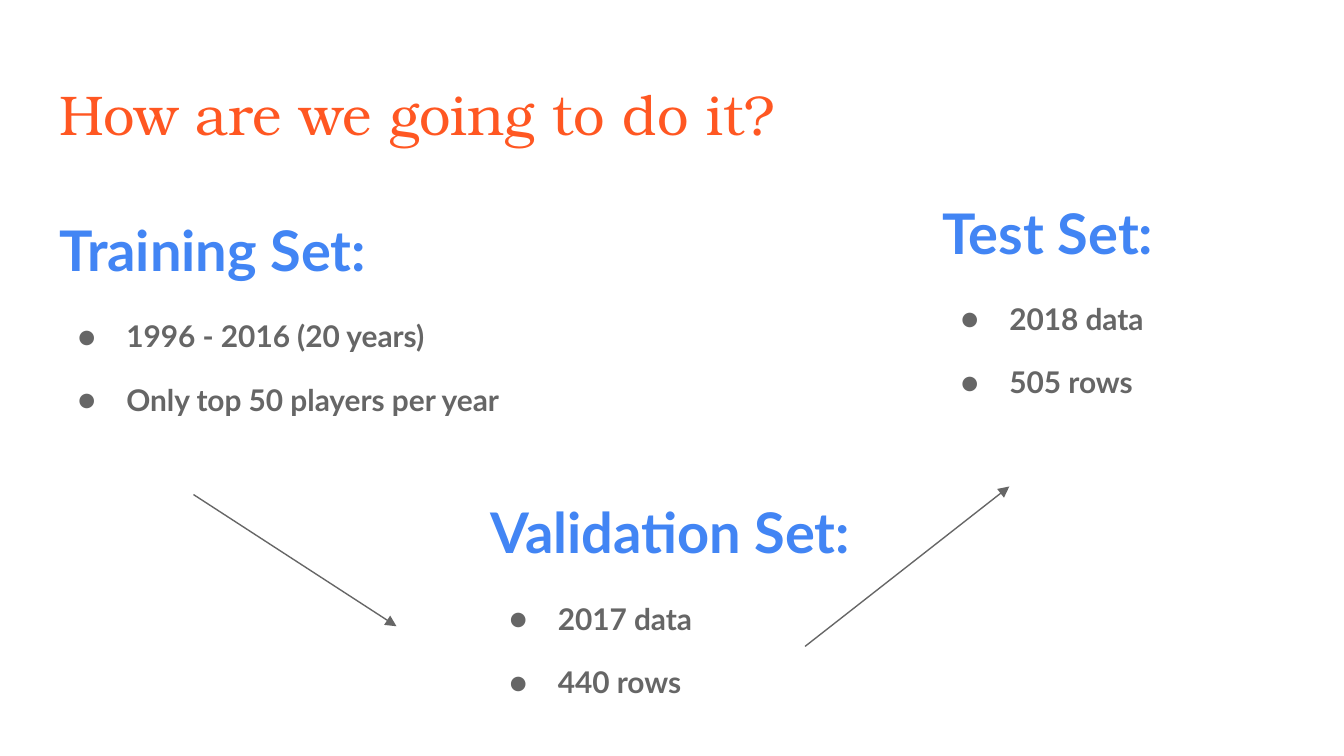
import pptx
import pptx.util
import pptx.dml.color
import pptx.enum.shapes
import pptx.enum.text
import pptx.oxml.ns
import lxml.etree

Inches, Pt = pptx.util.Inches, pptx.util.Pt

# Content
TITLE = "How are we going to do it?"
DATA_SETS = [  # heading, bullets, (left, top)
    ("Training Set:", ["1996 - 2016 (20 years)", "Only top 50 players per year"], (0.34, 1.43)),
    ("Test Set:", ["2018 data", "505 rows"], (6.91, 1.3)),
    ("Validation Set:", ["2017 data", "440 rows"], (3.55, 3.53)),
]
ARROWS = [((1.44, 3.68), (2.95, 4.66)), ((5.99, 4.81), (7.51, 3.62))]

COLORS = {"background": "FFFFFF", "title": "FF5722", "heading": "4285F4", "gray": "666666"}
TITLE_SIZE = (9.32, 0.63)
BODY_SIZE = (4.37, 3.74)


def rgb(name):
    return pptx.dml.color.RGBColor.from_string(COLORS[name])


def add_element(parent, tag, **attributes):
    return lxml.etree.SubElement(parent, pptx.oxml.ns.qn(tag), **attributes)


def place(shape, position, size):
    shape.left, shape.top = map(Inches, position)
    shape.width, shape.height = map(Inches, size)
    frame = shape.text_frame
    frame.word_wrap = True
    frame.auto_size = pptx.enum.text.MSO_AUTO_SIZE.NONE
    frame.vertical_anchor = pptx.enum.text.MSO_ANCHOR.TOP
    frame.margin_left = frame.margin_right = Inches(0.1)
    frame.margin_top = frame.margin_bottom = Inches(0.1)


def write(paragraph, text, *, size, color, font="Lato", bold=False,
          spacing=1.0, before=0, after=0, bullet=False):
    paragraph.alignment = pptx.enum.text.PP_ALIGN.LEFT
    paragraph.line_spacing = spacing
    paragraph.space_before, paragraph.space_after = Pt(before), Pt(after)
    properties = paragraph._p.get_or_add_pPr()
    properties.set("marL", str(Inches(0.5) if bullet else 0))
    properties.set("indent", str(Inches(-0.36) if bullet else 0))
    if bullet:
        bullet_color = add_element(properties, "a:buClr")
        add_element(bullet_color, "a:srgbClr", val=COLORS[color])
        add_element(properties, "a:buFont", typeface=font)
        add_element(properties, "a:buChar", char="●")
    else:
        add_element(properties, "a:buNone")
    run = paragraph.add_run()
    run.text = text
    run.font.name, run.font.size, run.font.bold = font, Pt(size), bold
    run.font.color.rgb = rgb(color)


# A 16:9 slide
presentation = pptx.Presentation()
presentation.slide_width = Inches(10)
presentation.slide_height = Inches(10 * 9 / 16)
slide = presentation.slides.add_slide(presentation.slide_layouts.get_by_name("Comparison"))
slide.background.fill.solid()
slide.background.fill.fore_color.rgb = rgb("background")

# Title
title = slide.shapes.title
place(title, (0.34, 0.49), TITLE_SIZE)
write(title.text_frame.paragraphs[0], TITLE, size=30, color="title", font="TeX Gyre Bonum")

# Data sets, one body placeholder each
bodies = [shape for shape in slide.placeholders if shape != title]
for body, (heading, bullets, position) in zip(bodies, DATA_SETS):
    place(body, position, BODY_SIZE)
    frame = body.text_frame
    write(frame.paragraphs[0], heading, size=30, color="heading", bold=True, spacing=1.15)
    for index, text in enumerate(bullets):
        last = index == len(bullets) - 1
        write(frame.add_paragraph(), text, size=16, color="gray", bold=True, spacing=1.15,
              before=12 if index else 16, after=12 if last else 0, bullet=True)
for unused in bodies[len(DATA_SETS):]:
    unused.element.getparent().remove(unused.element)

# Arrows from training to validation to test
for start, end in ARROWS:
    arrow = slide.shapes.add_connector(
        pptx.enum.shapes.MSO_CONNECTOR.STRAIGHT, *map(Inches, start + end))
    arrow.line.color.rgb = rgb("gray")
    arrow.line.width = Pt(0.75)
    add_element(arrow.line._get_or_add_ln(), "a:tailEnd", type="triangle")
    add_element(arrow._element.spPr, "a:effectLst")

presentation.save("out.pptx")
